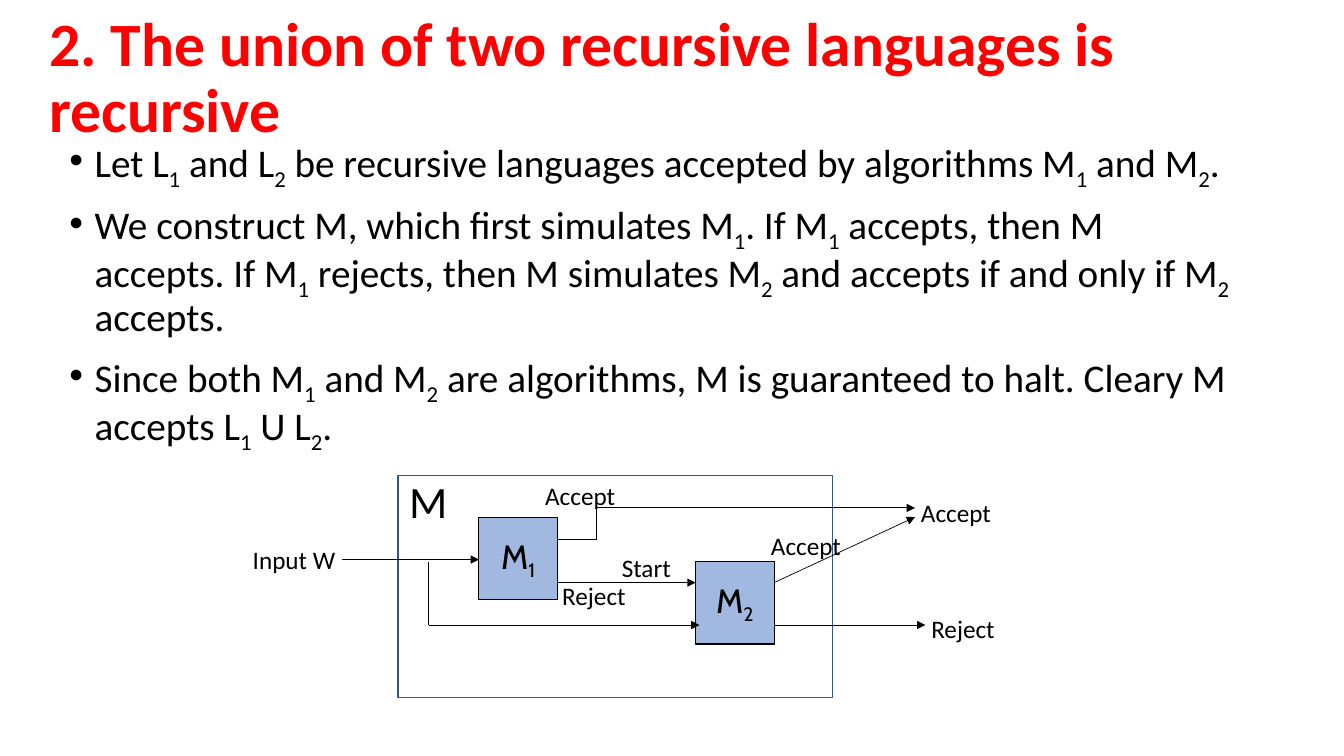
from dataclasses import dataclass

from pptx import Presentation
from pptx import util as u
from pptx.dml.color import RGBColor
from pptx.enum import shapes, text
from pptx.oxml.ns import qn
from lxml import etree

RED = RGBColor(0xFF, 0x00, 0x00)
BLACK = RGBColor(0x00, 0x00, 0x00)
WHITE = RGBColor(0xFF, 0xFF, 0xFF)
BLUE = RGBColor(0x44, 0x72, 0xC4)
NAVY = RGBColor(0x32, 0x54, 0x91)


@dataclass
class Box:
    left: float
    top: float
    width: float
    height: float
    caption: str = ""
    fill: RGBColor = BLUE
    line: RGBColor = BLACK
    weight: float = 0.75
    opacity: int = 50


@dataclass
class Label:
    caption: str
    left: float
    top: float
    width: float = 4.34
    size: int = 18


@dataclass
class Wire:
    start: tuple[float, float]
    end: tuple[float, float]
    weight: float = 0.5
    arrow: bool = True


def write(frame, *paragraphs: str, size: float, font: str = "Calibri", color: RGBColor = BLACK,
          bold: bool = False, align=text.PP_ALIGN.LEFT, anchor=text.MSO_ANCHOR.TOP,
          wrap: bool = True, spacing: float = 1.0, before: float = 0, bullet: bool = False) -> None:
    """Fill a text frame; the character after an underscore becomes a subscript."""
    frame.word_wrap = wrap
    frame.vertical_anchor = anchor
    for index, content in enumerate(paragraphs):
        paragraph = frame.add_paragraph() if index else frame.paragraphs[0]
        paragraph.alignment = align
        paragraph.line_spacing = spacing
        paragraph.space_before = u.Pt(before)
        if bullet:
            properties = paragraph._p.get_or_add_pPr()
            properties.set("marL", str(u.Cm(0.635)))
            properties.set("indent", str(u.Cm(-0.635)))
            etree.SubElement(properties, qn("a:buFont")).set("typeface", "Arial")
            etree.SubElement(properties, qn("a:buChar")).set("char", "•")
        first, *rest = content.split("_")
        pieces = [(first, False)]
        for part in rest:
            pieces += [(part[0], True), (part[1:], False)]
        for piece, subscript in pieces:
            if not piece:
                continue
            run = paragraph.add_run()
            run.text = piece
            run.font.size, run.font.name, run.font.bold = u.Pt(size), font, bold
            run.font.color.rgb = color
            if subscript:
                run.font._element.set("baseline", "-25000")


def add_text(slide, left: float, top: float, width: float, height: float, *paragraphs: str, **style) -> None:
    shape = slide.shapes.add_textbox(u.Cm(left), u.Cm(top), u.Cm(width), u.Cm(height))
    write(shape.text_frame, *paragraphs, **style)


def draw_box(slide, box: Box) -> None:
    shape = slide.shapes.add_shape(shapes.MSO_SHAPE.RECTANGLE, u.Cm(box.left), u.Cm(box.top),
                                   u.Cm(box.width), u.Cm(box.height))
    shape.shadow.inherit = False
    shape.fill.solid()
    shape.fill.fore_color.rgb = box.fill
    if box.opacity < 100:
        color = shape._element.spPr.find(qn("a:solidFill"))[0]
        etree.SubElement(color, qn("a:alpha")).set("val", str(box.opacity * 1000))
    shape.line.color.rgb = box.line
    shape.line.width = u.Pt(box.weight)
    if box.caption:
        write(shape.text_frame, box.caption, size=24, font="Cabin", wrap=False,
              align=text.PP_ALIGN.CENTER, anchor=text.MSO_ANCHOR.MIDDLE)


def draw_wire(slide, wire: Wire) -> None:
    points = [u.Cm(value) for value in wire.start + wire.end]
    connector = slide.shapes.add_connector(shapes.MSO_CONNECTOR.STRAIGHT, *points)
    connector.line.color.rgb = BLACK
    connector.line.width = u.Pt(wire.weight)
    properties = connector._element.spPr
    if wire.arrow:
        etree.SubElement(properties.find(qn("a:ln")), qn("a:tailEnd")).set("type", "triangle")
    etree.SubElement(properties, qn("a:effectLst"))


presentation = Presentation()
presentation.slide_width, presentation.slide_height = u.Cm(33.87), u.Cm(19.05)
slide = presentation.slides.add_slide(presentation.slide_layouts[6])

# Title and argument
add_text(slide, 0.99, 1.02, 32.11, 1.98, "2. The union of two recursive languages is recursive",
         size=44, color=RED, bold=True, spacing=0.9, anchor=text.MSO_ANCHOR.MIDDLE)
add_text(slide, 1.5, 3.38, 30.02, 13.79,
         "Let L_1 and L_2 be recursive languages accepted by algorithms M_1 and M_2.",
         "We construct M, which first simulates M_1. If M_1 accepts, then M accepts. "
         "If M_1 rejects, then M simulates M_2 and accepts if and only if M_2 accepts.",
         "Since both M_1 and M_2 are algorithms, M is guaranteed to halt. Cleary M accepts L_1 U L_2.",
         size=28, spacing=0.9, before=10, bullet=True)

# Machine M with its two parts
MACHINE_WIDTH, MACHINE_HEIGHT = 1.98, 2.08
M1_LEFT, M1_TOP = 12.07, 13.03
M2_LEFT, M2_TOP = 17.53, 14.15
M1_RIGHT, M2_RIGHT = M1_LEFT + MACHINE_WIDTH, M2_LEFT + MACHINE_WIDTH
for box in (
    Box(10.03, 11.99, 10.95, 5.59, fill=WHITE, line=NAVY, weight=1, opacity=100),
    Box(M1_LEFT, M1_TOP, MACHINE_WIDTH, MACHINE_HEIGHT, "M_1"),
    Box(M2_LEFT, M2_TOP, MACHINE_WIDTH, MACHINE_HEIGHT, "M_2"),
):
    draw_box(slide, box)

# Wires: input, accept, start and reject
BRANCH_X, STEP_X, ACCEPT_X = 10.8, 15.04, 23.06
ACCEPT_Y, STEP_Y, START_Y, REJECT_Y = 12.8, 13.59, 14.68, 15.75
for wire in (
    Wire((8.61, 14.1), (M1_LEFT, 14.1), 0.75),
    Wire((BRANCH_X, 14.15), (BRANCH_X, REJECT_Y), arrow=False),
    Wire((BRANCH_X, REJECT_Y), (17.63, REJECT_Y)),
    Wire((STEP_X, STEP_Y), (M1_RIGHT, STEP_Y), arrow=False),
    Wire((STEP_X, ACCEPT_Y), (STEP_X, STEP_Y), arrow=False),
    Wire((STEP_X, ACCEPT_Y), (ACCEPT_X, ACCEPT_Y), 0.75),
    Wire((M1_RIGHT, START_Y), (M2_LEFT, START_Y), 0.75),
    Wire((M2_RIGHT, START_Y), (ACCEPT_X, 13.03)),
    Wire((M2_RIGHT, REJECT_Y), (23.32, REJECT_Y)),
):
    draw_wire(slide, wire)

# Labels
for label in (
    Label("M", 10.06, 11.81, width=1.4, size=32),
    Label("Input W", 6.12, 13.59),
    Label("Accept", 13.49, 11.99),
    Label("Reject", 13.92, 14.5),
    Label("Start", 15.42, 13.79, width=2.08),
    Label("Accept", 19.18, 13.23),
    Label("Accept", 22.96, 12.4),
    Label("Reject", 23.22, 15.34),
):
    add_text(slide, label.left, label.top, label.width, 1.02, label.caption, size=label.size)

presentation.save("out.pptx")
